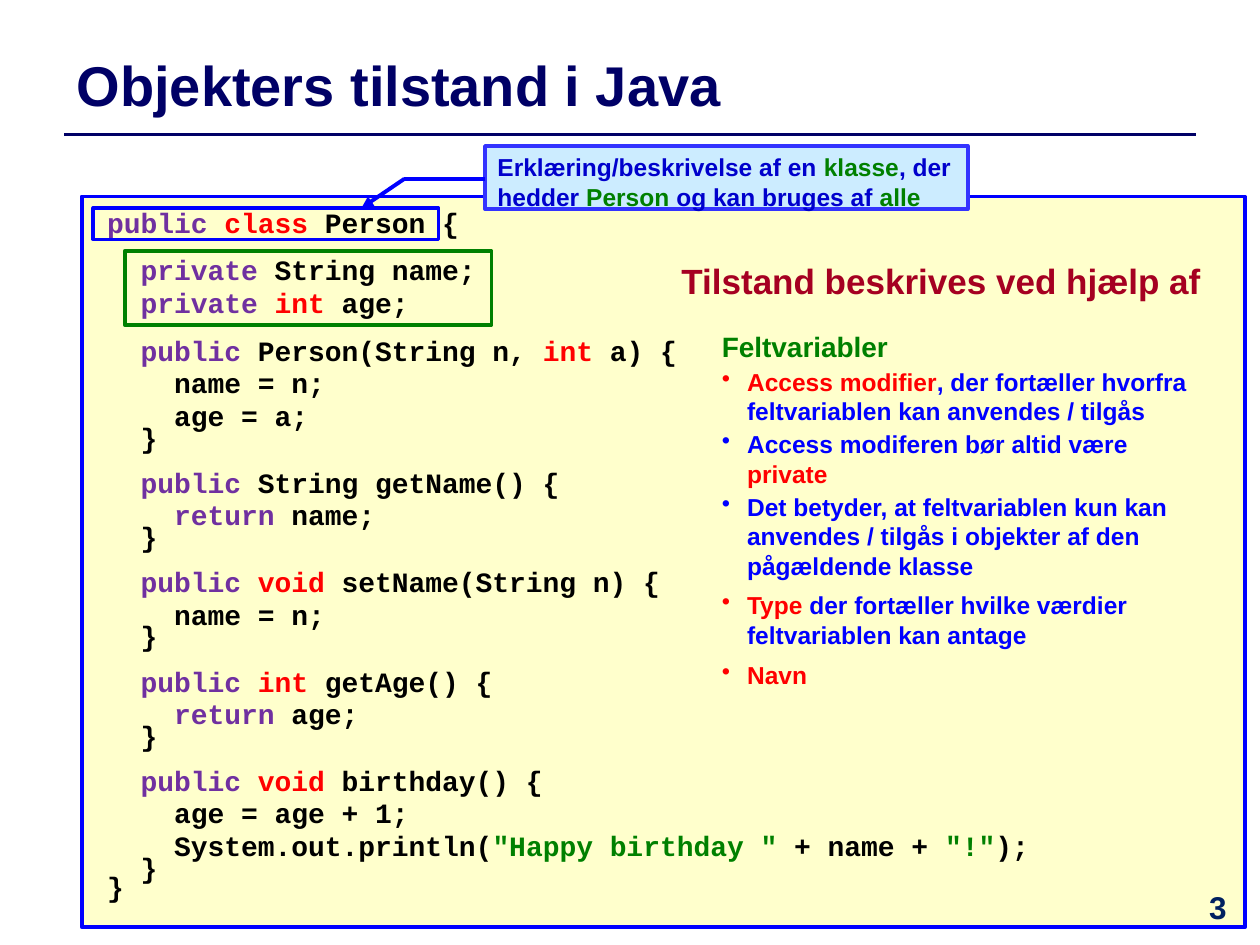
from itertools import groupby

from lxml.etree import SubElement
from pptx import Presentation
from pptx.dml.color import RGBColor
from pptx.enum.shapes import MSO_CONNECTOR as Connector, MSO_SHAPE as Shape
from pptx.enum.text import MSO_ANCHOR as Anchor, PP_ALIGN as Align
from pptx.oxml.ns import qn
from pptx.util import Pt

NAVY = RGBColor(0x00, 0x00, 0x66)
DARK_BLUE = RGBColor(0x00, 0x20, 0x60)
BLUE = RGBColor(0x00, 0x00, 0xFF)
MID_BLUE = RGBColor(0x00, 0x00, 0xCC)
FRAME_BLUE = RGBColor(0x33, 0x33, 0xFF)
PALE_BLUE = RGBColor(0xCC, 0xEC, 0xFF)
CREAM = RGBColor(0xFF, 0xFF, 0xCC)
PURPLE = RGBColor(0x70, 0x30, 0xA0)
RED = RGBColor(0xFF, 0x00, 0x00)
CRIMSON = RGBColor(0xA5, 0x00, 0x21)
GREEN = RGBColor(0x00, 0x80, 0x00)
BLACK = RGBColor(0x00, 0x00, 0x00)

KEYWORDS = {
    "public": PURPLE, "private": PURPLE, "return": PURPLE,
    "class": RED, "int": RED, "void": RED,
}

METHODS = [
    ["  private String name;", "  private int age;"],
    ["  public Person(String n, int a) {", "    name = n;", "    age = a;", "  }"],
    ["  public String getName() {", "    return name;", "  }"],
    ["  public void setName(String n) {", "    name = n;", "  }"],
    ["  public int getAge() {", "    return age;", "  }"],
    ["  public void birthday() {", "    age = age + 1;",
     '    System.out.println("Happy birthday " + name + "!");', "  }", "}"],
]

FIELD_NOTES = [
    (2, [("Access modifier", RED),
         (", der fortæller hvorfra feltvariablen kan anvendes / tilgås", BLUE)]),
    (2, [("Access modiferen bør altid være ", BLUE), ("private", RED)]),
    (2, [("Det betyder, at feltvariablen kun kan anvendes / tilgås i objekter "
          "af den pågældende klasse", BLUE)]),
    (6, [("Type", RED),
         (" der fortæller hvilke værdier feltvariablen kan antage", BLUE)]),
    (6, [("Navn", RED)]),
]


def highlight(line):
    tokens = []
    for index, part in enumerate(line.split('"')):
        if index % 2:
            tokens.append((f'"{part}"', GREEN))
            continue
        words = part.split(" ")
        for word in words[:-1]:
            tokens.append((word + " ", KEYWORDS.get(word, BLACK)))
        if words[-1]:
            tokens.append((words[-1], BLACK))
    return [("".join(text for text, _ in group), colour)
            for colour, group in groupby(tokens, key=lambda token: token[1])]


class SlideBuilder:
    def __init__(self, page, font="Arial"):
        self.page = page
        self.font = font

    def rectangle(self, bounds, line, width, fill=None):
        shape = self.page.shapes.add_shape(Shape.RECTANGLE, *map(Pt, bounds))
        shape.shadow.inherit = False
        if fill is None:
            shape.fill.background()
        else:
            shape.fill.solid()
            shape.fill.fore_color.rgb = fill
        shape.line.color.rgb = line
        shape.line.width = Pt(width)
        return shape

    def textbox(self, bounds, wrap=True, anchor=Anchor.TOP):
        box = self.page.shapes.add_textbox(*map(Pt, bounds))
        box.text_frame.word_wrap = wrap
        box.text_frame.vertical_anchor = anchor
        return box

    def paragraph(self, box, spans, size, font=None, bullet=False, **formats):
        frame = box.text_frame
        first = not frame.paragraphs[0].runs
        para = frame.paragraphs[0] if first else frame.add_paragraph()
        for name, value in ({"alignment": Align.LEFT} | formats).items():
            setattr(para, name, value)
        if bullet:
            properties = para._p.get_or_add_pPr()
            properties.set("marL", str(Pt(14.4)))
            properties.set("indent", str(-Pt(14.4)))
            SubElement(properties, qn("a:buChar")).set("char", "•")
        for text, colour in spans:
            span = para.add_run()
            span.text = text
            span.font.color.rgb = colour
            style = {"name": font or self.font, "size": Pt(size), "bold": True}
            for name, value in style.items():
                setattr(span.font, name, value)

    def line(self, start, end, colour, width, arrow=False):
        link = self.page.shapes.add_connector(
            Connector.STRAIGHT, *map(Pt, (*start, *end)))
        link.line.color.rgb = colour
        link.line.width = Pt(width)
        if arrow:
            SubElement(link.line._get_or_add_ln(), qn("a:tailEnd")).set("type", "triangle")
        SubElement(link._element.spPr, qn("a:effectLst"))

    def code(self, bounds):
        box = self.rectangle(bounds, BLUE, 2.25, CREAM)
        frame = box.text_frame
        margins = {"margin_left": 14.4, "margin_top": 8.64}
        for name, value in margins.items():
            setattr(frame, name, Pt(value))
        frame.vertical_anchor = Anchor.TOP
        frame.word_wrap = True
        self.paragraph(box, highlight("public class Person {"), 16, "Courier New",
                       line_spacing=0.8)
        for method in METHODS:
            for index, text in enumerate(method):
                self.paragraph(box, highlight(text), 16, "Courier New",
                               line_spacing=0.4 if text.strip() == "}" else 0.8,
                               space_before=Pt(3.2 if index else 12))


def main():
    deck = Presentation()
    deck.slide_width, deck.slide_height = Pt(720), Pt(540)
    builder = SlideBuilder(deck.slides.add_slide(deck.slide_layouts[6]))

    builder.line((36.72, 77), (683.28, 77), NAVY, 2)
    builder.code((46.8, 112.3, 664.6, 417.6))

    title = builder.textbox((36.72, 20.9, 663, 54), anchor=Anchor.MIDDLE)
    builder.paragraph(title, [("Objekters tilstand i Java", NAVY)], 32)

    number = builder.textbox((671.8, 504, 48.2, 36))
    builder.paragraph(number, [("3", DARK_BLUE)], 18, alignment=Align.CENTER)

    builder.rectangle((71.3, 143.3, 209.5, 42.5), GREEN, 2)

    notes = builder.textbox((405.4, 185, 294.5, 194.4))
    builder.paragraph(notes, [("Feltvariabler", GREEN)], 16)
    for gap, spans in FIELD_NOTES:
        builder.paragraph(notes, spans, 14, bullet=True, space_before=Pt(gap))

    builder.rectangle((53.3, 118.8, 197.3, 18), BLUE, 2)

    callout = builder.rectangle((277.2, 83.5, 275.8, 36), FRAME_BLUE, 2.25, PALE_BLUE)
    callout.text_frame.vertical_anchor = Anchor.TOP
    callout.text_frame.word_wrap = True
    builder.paragraph(callout, [
        ("Erklæring/beskrivelse af en ", MID_BLUE), ("klasse", GREEN),
        (", der hedder ", MID_BLUE), ("Person", GREEN),
        (" og kan bruges af ", MID_BLUE), ("alle", GREEN)], 14)

    elbow = (231.1, 102.2)
    builder.line(elbow, (206.6, 118.8), BLUE, 2.25, arrow=True)
    builder.line((277.2, 102.2), elbow, BLUE, 2.25)

    heading = builder.textbox((382.3, 144.7, 311.8, 34.6), wrap=False)
    builder.paragraph(heading, [("Tilstand beskrives ved hjælp af", CRIMSON)], 20)

    deck.save("out.pptx")


if __name__ == "__main__":
    main()
